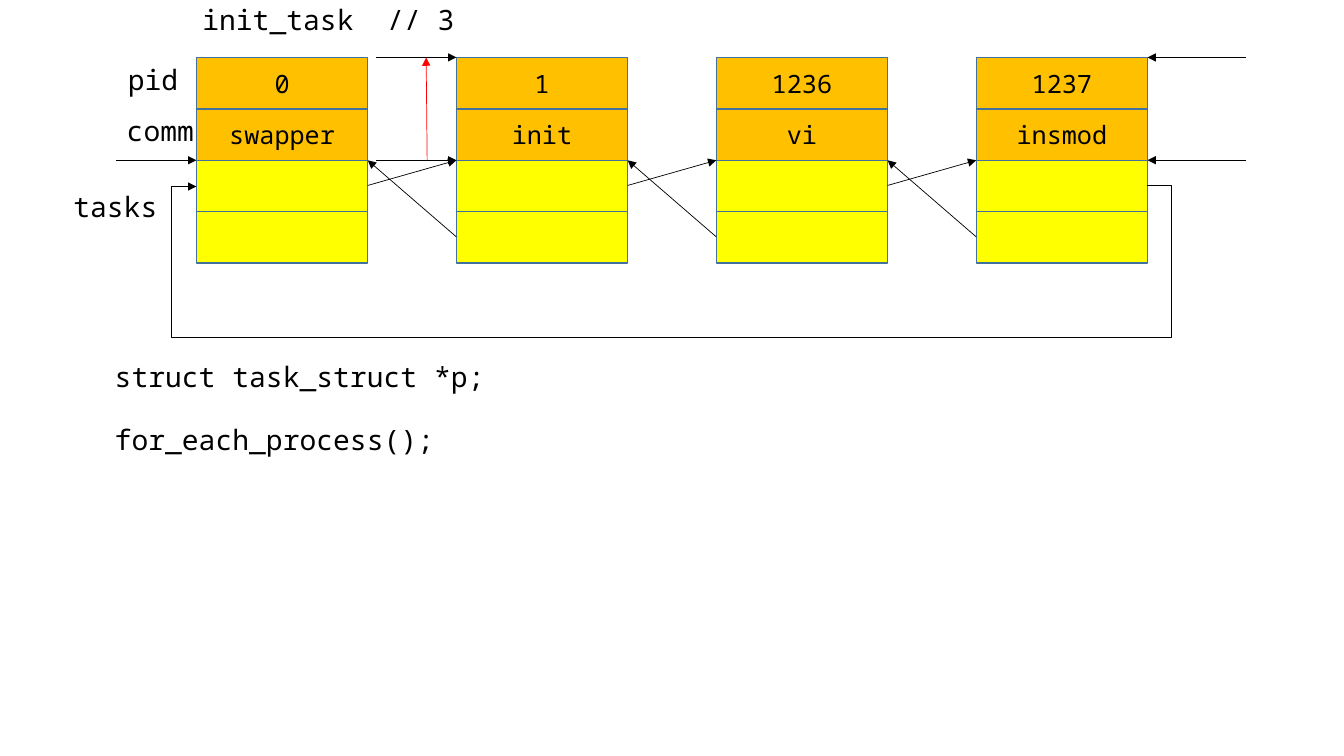
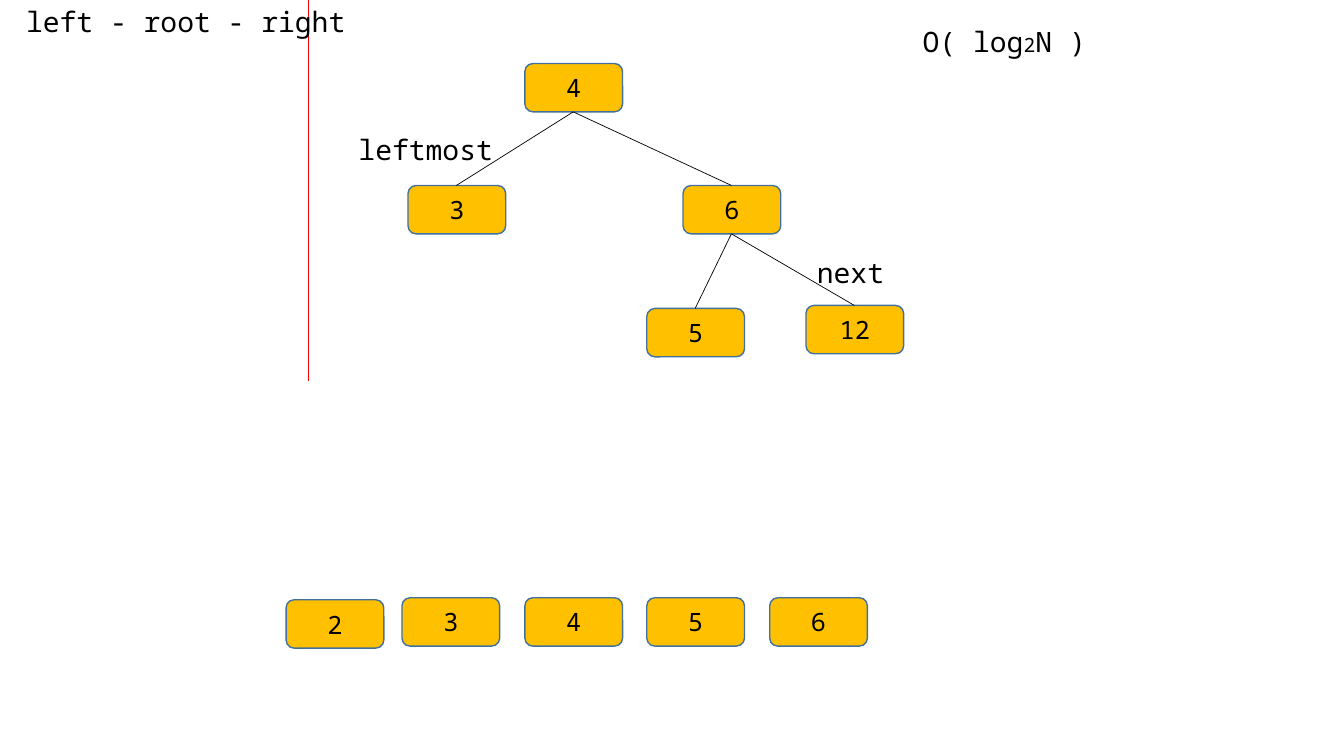
"""Build two slides: a linked list of tasks and a binary search tree."""
import dataclasses
import typing

import lxml.etree
import pptx
import pptx.dml.color
import pptx.enum.shapes
import pptx.enum.text
import pptx.oxml.ns
import pptx.util

PX = pptx.util.Inches(1) // 100
FONT = "Noto Sans Mono"
BLACK = pptx.dml.color.RGBColor(0x00, 0x00, 0x00)
RED = pptx.dml.color.RGBColor(0xFF, 0x00, 0x00)
ORANGE = pptx.dml.color.RGBColor(0xFF, 0xC0, 0x00)
YELLOW = pptx.dml.color.RGBColor(0xFF, 0xFF, 0x00)
BORDER = pptx.dml.color.RGBColor(0x41, 0x71, 0x9C)
RECT = pptx.enum.shapes.MSO_SHAPE.RECTANGLE
ROUNDED = pptx.enum.shapes.MSO_SHAPE.ROUNDED_RECTANGLE

TASK_LEFT, TASK_TOP, TASK_PITCH = 195, 57, 258
CELL_W, CELL_H = 170, 51
NODE_W, NODE_H = 97, 48

Point = tuple[int, int]


@dataclasses.dataclass(frozen=True)
class Task:
    pid: str
    comm: str


@dataclasses.dataclass(frozen=True)
class Node:
    key: str
    x: int
    y: int

    @property
    def top(self) -> Point:
        return self.x + NODE_W // 2, self.y

    @property
    def bottom(self) -> Point:
        return self.x + NODE_W // 2, self.y + NODE_H


@dataclasses.dataclass(frozen=True)
class Label:
    x: int
    y: int
    w: int
    text: str
    h: int = 44
    gap: int = 0


TASKS = [Task("0", "swapper"), Task("1", "init"), Task("1236", "vi"), Task("1237", "insmod")]
TASK_LABELS = [
    Label(116, 108, 87, "comm"),
    Label(117, 57, 70, "pid"),
    Label(63, 183, 104, "tasks"),
    Label(191, -2, 271, "init_task  // 3"),
    Label(104, 352, 388, "struct task_struct *p;\nfor_each_process();", h=110, gap=21),
]

ROOT = Node("4", 521, 63)
LEFT = Node("3", 405, 184)
RIGHT = Node("6", 678, 184)
RIGHT_LEFT = Node("5", 642, 306)
RIGHT_RIGHT = Node("12", 800, 303)
EDGES = [(ROOT, LEFT), (ROOT, RIGHT), (RIGHT, RIGHT_RIGHT), (RIGHT, RIGHT_LEFT)]
SEQUENCE = [
    Node("2", 284, 595),
    Node("3", 399, 593),
    Node("4", 521, 593),
    Node("5", 642, 593),
    Node("6", 764, 593),
]
TREE_LABELS = [
    Label(16, 0, 338, "left - root - right"),
    Label(801, 249, 87, "next"),
    Label(346, 127, 154, "leftmost"),
]


def add_run(p: typing.Any, text: str, *, size: int = 20) -> None:
    r = p.add_run()
    r.text = text
    r.font.name = FONT
    r.font.size = pptx.util.Pt(size)
    r.font.color.rgb = BLACK


def add_text_frame(s: typing.Any, label: Label) -> typing.Any:
    tb = s.shapes.add_textbox(label.x * PX, label.y * PX, label.w * PX, label.h * PX)
    tf = tb.text_frame
    tf.word_wrap = False
    tf.auto_size = pptx.enum.text.MSO_AUTO_SIZE.SHAPE_TO_FIT_TEXT
    return tf


def add_label(s: typing.Any, label: Label) -> None:
    tf = add_text_frame(s, label)
    for i, text in enumerate(label.text.split("\n")):
        p = tf.add_paragraph() if i else tf.paragraphs[0]
        if i:
            p.space_before = pptx.util.Pt(label.gap)
        add_run(p, text)


def add_box(s: typing.Any, kind: typing.Any, x: int, y: int, w: int, h: int,
            fill: pptx.dml.color.RGBColor, text: str = "") -> None:
    sp = s.shapes.add_shape(kind, x * PX, y * PX, w * PX, h * PX)
    sp.shadow.inherit = False
    sp.fill.solid()
    sp.fill.fore_color.rgb = fill
    sp.line.color.rgb = BORDER
    sp.line.width = pptx.util.Pt(1)
    if text:
        tf = sp.text_frame
        tf.vertical_anchor = pptx.enum.text.MSO_ANCHOR.MIDDLE
        p = tf.paragraphs[0]
        p.alignment = pptx.enum.text.PP_ALIGN.CENTER
        add_run(p, text, size=18)


def style_line(sp: typing.Any, color: pptx.dml.color.RGBColor, arrow: bool) -> None:
    sp.line.color.rgb = color
    sp.line.width = pptx.util.Pt(0.5)
    if arrow:
        ln = sp._element.spPr.find(pptx.oxml.ns.qn("a:ln"))
        lxml.etree.SubElement(ln, pptx.oxml.ns.qn("a:tailEnd"), type="triangle")


def add_line(s: typing.Any, start: Point, end: Point, *,
             color: pptx.dml.color.RGBColor = BLACK, arrow: bool = False) -> None:
    straight = pptx.enum.shapes.MSO_CONNECTOR.STRAIGHT
    c = s.shapes.add_connector(straight, *(v * PX for v in start + end))
    style_line(c, color, arrow)
    lxml.etree.SubElement(c._element.spPr, pptx.oxml.ns.qn("a:effectLst"))


def add_bent_arrow(s: typing.Any, points: list[Point]) -> None:
    fb = s.shapes.build_freeform(*points[0], scale=float(PX))
    fb.add_line_segments(points[1:], close=False)
    sp = fb.convert_to_shape()
    sp.shadow.inherit = False
    sp.fill.background()
    style_line(sp, BLACK, True)


def add_node(s: typing.Any, node: Node) -> None:
    add_box(s, ROUNDED, node.x, node.y, NODE_W, NODE_H, ORANGE, node.key)


def draw_task_list(s: typing.Any) -> None:
    lefts = [TASK_LEFT + i * TASK_PITCH for i in range(len(TASKS))]
    rows = [TASK_TOP + i * CELL_H for i in range(4)]
    next_y, prev_y = (y + CELL_H // 2 for y in rows[2:])
    for x, task in zip(lefts, TASKS):
        cells = [(task.pid, ORANGE), (task.comm, ORANGE), ("", YELLOW), ("", YELLOW)]
        for y, (text, fill) in zip(rows, cells):
            add_box(s, RECT, x, y, CELL_W, CELL_H, fill, text)
    for x, following in zip(lefts, lefts[1:]):
        add_line(s, (x + CELL_W, next_y), (following, rows[2]), arrow=True)
        add_line(s, (following, prev_y), (x + CELL_W, rows[2]), arrow=True)
    right = lefts[-1] + CELL_W
    add_bent_arrow(s, [(right, next_y), (right + 24, next_y), (right + 24, 335),
                       (170, 335), (170, next_y + 1), (TASK_LEFT, next_y + 1)])
    for y in (rows[0], rows[2]):
        add_line(s, (right + 98, y), (right, y), arrow=True)
        add_line(s, (lefts[1] - 80, y), (lefts[1], y), arrow=True)
    add_line(s, (TASK_LEFT - 80, rows[2]), (TASK_LEFT, rows[2]), arrow=True)
    add_line(s, (424, rows[2]), (423, rows[0]), color=RED, arrow=True)
    for label in TASK_LABELS:
        add_label(s, label)


def draw_tree(s: typing.Any) -> None:
    for node in (ROOT, LEFT, RIGHT, RIGHT_RIGHT, RIGHT_LEFT, *SEQUENCE):
        add_node(s, node)
    for parent, child in EDGES:
        add_line(s, parent.bottom, child.top)
    add_line(s, (306, 0), (306, 378), color=RED)
    for label in TREE_LABELS:
        add_label(s, label)
    p = add_text_frame(s, Label(906, 19, 182, "")).paragraphs[0]
    for text, size in (("O( log", 20), ("2", 14), ("N )", 20)):
        add_run(p, text, size=size)


def main() -> None:
    prs = pptx.Presentation()
    prs.slide_width, prs.slide_height = 1334 * PX, 750 * PX
    for draw in (draw_task_list, draw_tree):
        draw(prs.slides.add_slide(prs.slide_layouts[6]))
    prs.save("out.pptx")


if __name__ == "__main__":
    main()
